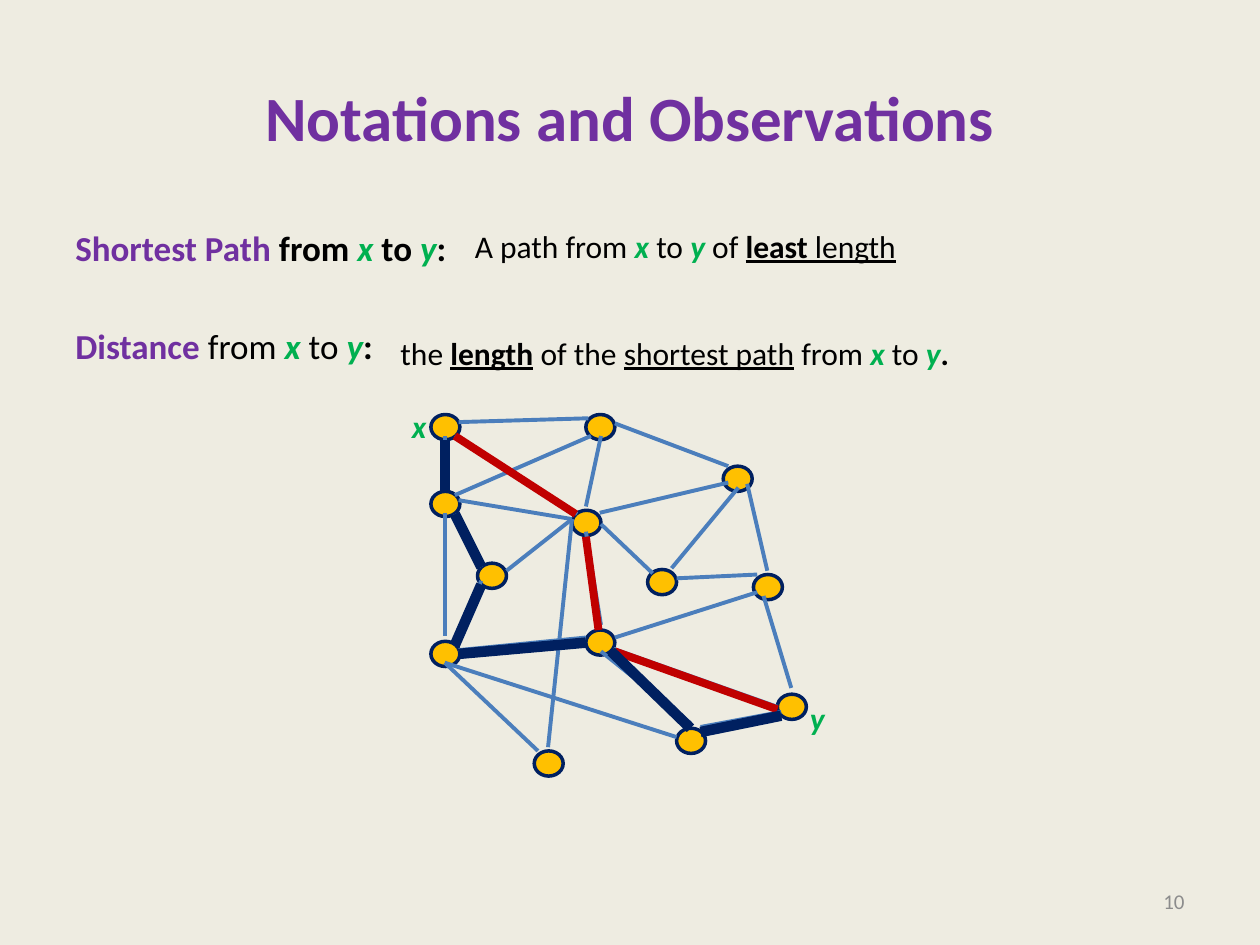
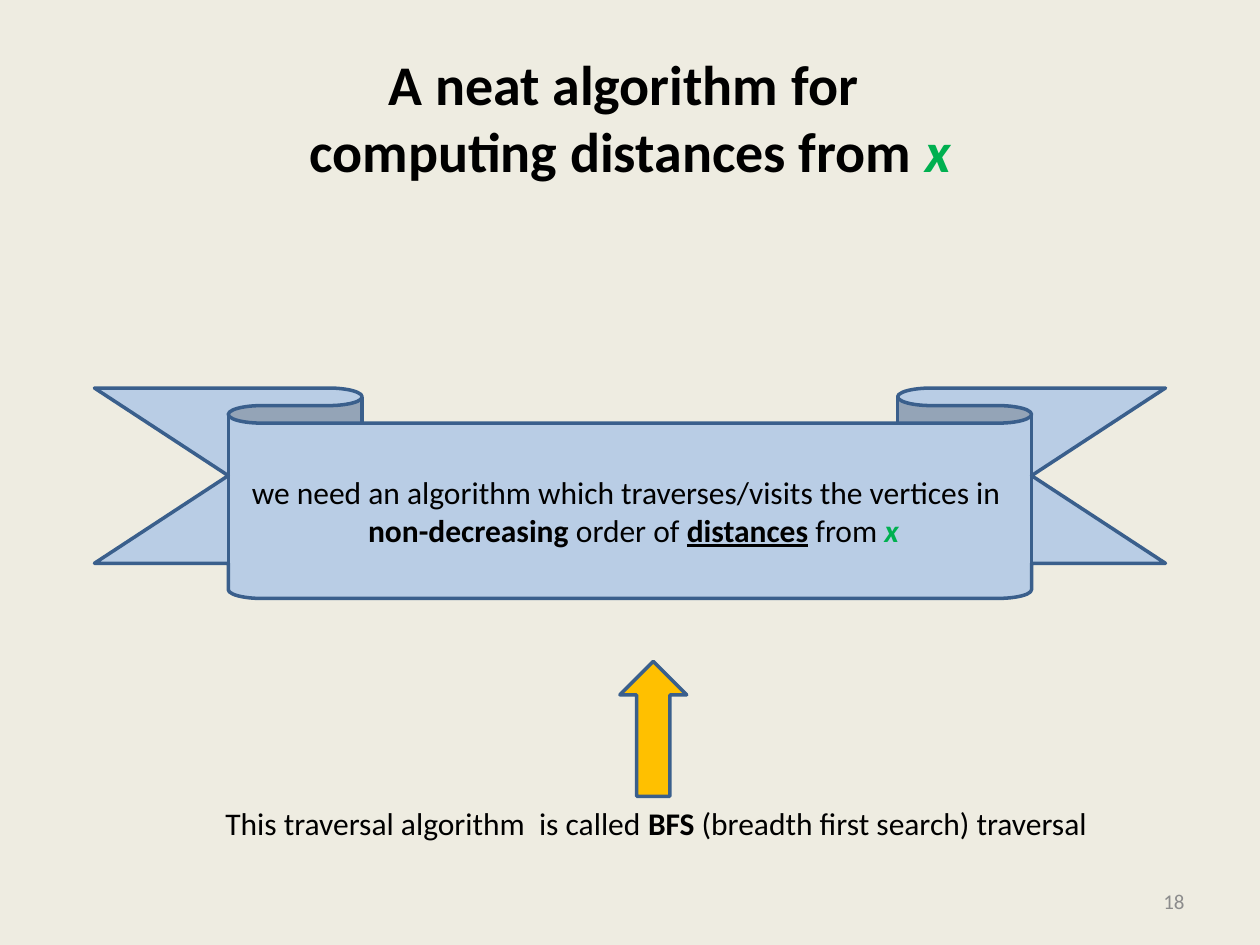
from dataclasses import dataclass

import pptx
import pptx.dml.color
import pptx.enum.shapes
import pptx.enum.text
import pptx.oxml.ns
import pptx.util
from lxml import etree
from pptx.dml.color import RGBColor
from pptx.util import Inches

CREAM = RGBColor(0xEE, 0xEC, 0xE1)
BLACK = RGBColor(0, 0, 0)
PURPLE = RGBColor(0x70, 0x30, 0xA0)
GREEN = RGBColor(0x00, 0xB0, 0x50)
GRAY = RGBColor(0x8C, 0x8C, 0x8C)
GOLD = RGBColor(0xFF, 0xC0, 0x00)
NAVY = RGBColor(0x00, 0x20, 0x60)
BLUE = RGBColor(0x4B, 0x7E, 0xBC)
RED = RGBColor(0xC0, 0x00, 0x00)
PALE = RGBColor(0xB9, 0xCD, 0xE5)
STEEL = RGBColor(0x3A, 0x5F, 0x8C)

FONT = "Calibri"
SHAPE = pptx.enum.shapes.MSO_SHAPE
ALIGN = pptx.enum.text.PP_ALIGN
ANCHOR = pptx.enum.text.MSO_ANCHOR
NODE_W, NODE_H = 0.23, 0.2


@dataclass(frozen=True)
class Run:
    text: str
    color: RGBColor = BLACK
    bold: bool = False
    slant: bool = False
    under: bool = False


@dataclass(frozen=True)
class Box:
    left: float
    top: float
    width: float
    height: float

    def lengths(self) -> tuple:
        return tuple(Inches(v) for v in (self.left, self.top, self.width, self.height))


@dataclass(frozen=True)
class Edge:
    x1: float
    y1: float
    x2: float
    y2: float


def bold(text: str, color: RGBColor = BLACK) -> Run:
    return Run(text, color, bold=True)


def var(text: str) -> Run:
    return Run(text, GREEN, bold=True, slant=True)


def write(frame, lines: list[list[Run]], size: float, align=ALIGN.LEFT, gap: float = 0) -> None:
    for i, runs in enumerate(lines):
        para = frame.paragraphs[0] if i == 0 else frame.add_paragraph()
        para.alignment = align
        if i and gap:
            para.space_before = pptx.util.Pt(gap)
        for item in runs:
            if item.text == "\n":
                para.add_line_break()
                continue
            run = para.add_run()
            run.text = item.text
            font = run.font
            font.name, font.size = FONT, pptx.util.Pt(size)
            font.bold, font.italic, font.underline = item.bold, item.slant, item.under
            font.color.rgb = item.color


def add_text(slide, box: Box, lines: list[list[Run]], size: float, align=ALIGN.LEFT,
             anchor=ANCHOR.TOP, wrap: bool = True, gap: float = 0) -> None:
    frame = slide.shapes.add_textbox(*box.lengths()).text_frame
    frame.word_wrap = wrap
    frame.vertical_anchor = anchor
    write(frame, lines, size, align, gap)


def add_label(slide, box: Box, runs: list[Run]) -> None:
    add_text(slide, box, [runs], 18, wrap=False)


def add_form(slide, kind, box: Box, fill: RGBColor, line: RGBColor):
    form = slide.shapes.add_shape(kind, *box.lengths())
    form.shadow.inherit = False
    form.fill.solid()
    form.fill.fore_color.rgb = fill
    form.line.color.rgb = line
    form.line.width = pptx.util.Pt(2)
    return form


def add_edges(slide, edges: list[Edge], color: RGBColor, width: float) -> None:
    for e in edges:
        line = slide.shapes.add_connector(
            pptx.enum.shapes.MSO_CONNECTOR.STRAIGHT,
            Inches(e.x1), Inches(e.y1), Inches(e.x2), Inches(e.y2))
        line.line.color.rgb = color
        line.line.width = pptx.util.Pt(width)
        etree.SubElement(line._element.spPr, pptx.oxml.ns.qn("a:effectLst"))


def add_slide(deck, title: list[Run], size: float, number: int):
    slide = deck.slides.add_slide(deck.slide_layouts[6])
    slide.background.fill.solid()
    slide.background.fill.fore_color.rgb = CREAM
    add_text(slide, Box(0.5, 0.3, 9, 1.25), [title], size, ALIGN.CENTER, ANCHOR.MIDDLE)
    add_text(slide, Box(7.17, 6.95, 2.33, 0.4), [[Run(str(number), GRAY)]], 12,
             ALIGN.RIGHT, ANCHOR.MIDDLE)
    return slide


NODES = [
    (3.42, 3.29), (3.42, 3.9), (3.79, 4.47), (3.42, 5.09), (4.54, 4.05),
    (4.65, 5), (4.24, 5.96), (6.17, 5.51), (5.14, 4.52), (5.37, 5.78),
    (4.65, 3.29), (5.98, 4.56), (5.74, 3.7),
]
LINKS = [
    Edge(3.64, 5.16, 4.65, 5.06), Edge(3.64, 3.97, 4.54, 4.12),
    Edge(3.64, 3.35, 4.67, 3.32), Edge(3.53, 3.46, 3.53, 3.87),
    Edge(4.76, 4.07, 5.78, 3.83), Edge(4.27, 5.96, 3.53, 5.26),
    Edge(3.53, 4.07, 3.53, 5.05), Edge(4.65, 4.22, 4.77, 4.96),
    Edge(4.88, 3.36, 5.78, 3.7), Edge(6.09, 4.53, 5.93, 3.84),
    Edge(4.88, 5.06, 6.01, 4.7), Edge(5.56, 5.77, 6.2, 5.65),
    Edge(3.61, 4.08, 3.82, 4.5), Edge(6.06, 4.73, 6.28, 5.46),
    Edge(4.54, 4.12, 4.35, 5.93), Edge(4.77, 5.17, 5.48, 5.74),
    Edge(5.37, 4.59, 6.01, 4.56), Edge(4.54, 4.12, 4.02, 4.53),
    Edge(3.61, 5.08, 3.82, 4.61), Edge(5.33, 4.51, 5.86, 3.87),
    Edge(3.53, 5.26, 5.37, 5.85), Edge(4.77, 3.46, 4.65, 4.02),
    Edge(6.17, 5.61, 4.87, 5.15), Edge(3.61, 3.46, 4.58, 4.08),
    Edge(4.69, 3.46, 3.61, 3.93), Edge(4.77, 4.16, 5.18, 4.55),
]
SHORT = [
    Edge(3.61, 3.46, 4.57, 4.08), Edge(4.75, 5, 4.65, 4.26),
    Edge(6.17, 5.63, 4.88, 5.17),
]
LONG = [
    Edge(3.53, 3.49, 3.53, 3.9), Edge(3.82, 4.5, 3.61, 4.08),
    Edge(3.61, 5.12, 3.82, 4.64), Edge(3.64, 5.19, 4.65, 5.1),
    Edge(5.48, 5.78, 4.85, 5.17), Edge(5.56, 5.81, 6.2, 5.68),
]


def draw_graph(slide) -> None:
    for x, y in NODES:
        add_form(slide, SHAPE.OVAL, Box(x, y, NODE_W, NODE_H), GOLD, NAVY)
    add_edges(slide, LINKS, BLUE, 2.25)
    add_edges(slide, SHORT, RED, 4.5)
    add_label(slide, Box(3.17, 3.18, 0.32, 0.4), [var("x")])
    add_label(slide, Box(6.33, 5.5, 0.32, 0.4), [var("y")])
    add_edges(slide, LONG, NAVY, 6)


def draw_terms(deck) -> None:
    slide = add_slide(deck, [bold("Notations and Observations", PURPLE)], 36, 10)
    add_text(slide, Box(0.5, 1.75, 9, 4.95), [
        [bold("Shortest Path ", PURPLE), bold("from "), var("x "), bold("to"),
         var(" y"), bold(":  ")],
        [bold("Distance", PURPLE), Run(" from"), var(" x"), Run(" to"),
         var(" y"), bold(":")],
    ], 20, gap=32)
    draw_graph(slide)
    add_label(slide, Box(3.67, 1.75, 3.58, 0.4), [
        Run("A path from "), var("x "), Run("to "), var("y"), Run(" of "),
        Run("least", bold=True, under=True), Run(" length", under=True)])
    add_label(slide, Box(3.08, 2.6, 4.62, 0.4), [
        Run("the "), Run("length", bold=True, under=True), Run(" of the "),
        Run("shortest path", under=True), Run(" from "), var("x"), Run(" to"),
        var(" y"), bold(".")])


def draw_search(deck) -> None:
    title = [bold("A neat algorithm for "), Run("\n"),
             bold("computing distances from "), var("x")]
    slide = add_slide(deck, title, 32, 18)
    ribbon = add_form(slide, SHAPE.DOWN_RIBBON, Box(0.75, 3.08, 8.5, 1.67), PALE, STEEL)
    ribbon.adjustments[0] = 0.167
    ribbon.adjustments[1] = 0.75
    frame = ribbon.text_frame
    frame.word_wrap = True
    frame.vertical_anchor = ANCHOR.MIDDLE
    write(frame, [
        [Run("we need an algorithm which traverses/visits the vertices in ")],
        [Run(" "), bold("non-decreasing"), Run(" order of "),
         Run("distances", bold=True, under=True), Run(" from "), var("x")],
    ], 18, ALIGN.CENTER)
    add_form(slide, SHAPE.UP_ARROW, Box(4.92, 5.25, 0.53, 1.07), GOLD, STEEL)
    add_label(slide, Box(1.69, 6.33, 7.06, 0.4), [
        Run("This traversal algorithm  is called "), bold("BFS"),
        Run(" (breadth first search) traversal")])


def main() -> None:
    deck = pptx.Presentation()
    deck.slide_width, deck.slide_height = Inches(10), Inches(7.5)
    draw_terms(deck)
    draw_search(deck)
    deck.save("out.pptx")


main()
